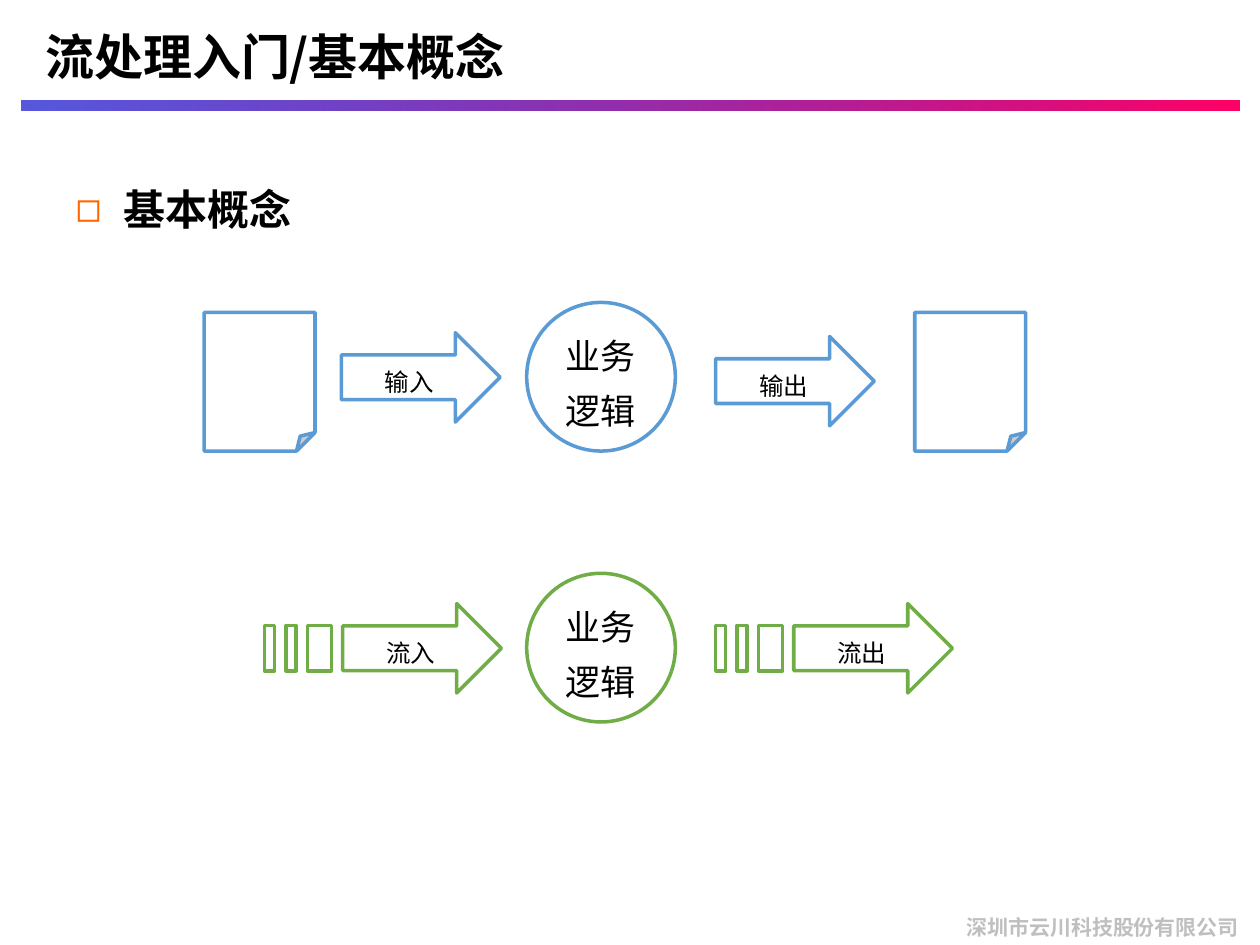
from pptx import Presentation
from pptx import util as u
from pptx.dml.color import RGBColor
from pptx.enum import shapes, text
from pptx.oxml.xmlchemy import OxmlElement

TITLE = "流处理入门/基本概念"
TOPIC = "基本概念"
FOOTER = "深圳市云川科技股份有限公司"
LOGIC = "业务逻辑"

COLORS = {
    "batch": "5B9BD5", "stream": "70AD47", "ink": "000000", "paper": "FFFFFF",
    "footer": "BFBFBF", "bullet": "FF6600", "bar_from": "0000CC", "bar_to": "FF0066",
}
FONT = "Noto Sans CJK SC"

LOGIC_LEFT, LOGIC_SIZE = 4.18, 1.18
ROW_TOPS = {"batch": 2.4, "stream": 4.55}
DOCUMENT_LEFTS = [1.62, 7.26]
DOCUMENT_TOP, DOCUMENT_SIZE = 2.48, (0.88, 1.1)
BATCH_ARROWS = [("输入", 2.71, 2.64), ("输出", 5.68, 2.67)]
STREAM_ARROWS = [("流入", 2.1), ("流出", 5.68)]
STREAM_ARROW_TOP, ARROW_SIZE = 4.79, (1.26, 0.71)
PULSE_WIDTHS, PULSE_HEIGHT, PULSE_GAP = [0.08, 0.08, 0.19], 0.36, 0.09

MSO = shapes.MSO_SHAPE
ALIGN = text.PP_ALIGN
ANCHOR = text.MSO_ANCHOR


def rgb(name):
    return RGBColor.from_string(COLORS[name])


def apply(target, values):
    for key, value in values.items():
        setattr(target, key, value)


def place(shape, left, top, width, height):
    box = dict(left=left, top=top, width=width, height=height)
    apply(shape, {side: u.Inches(length) for side, length in box.items()})


def write(shape, words, size, color="ink", bold=False, frame=None, paragraph=None):
    body = shape.text_frame
    apply(body, {"word_wrap": True, "auto_size": text.MSO_AUTO_SIZE.NONE, **(frame or {})})
    line = body.paragraphs[0]
    apply(line, {"alignment": ALIGN.LEFT, **(paragraph or {})})
    run = line.add_run()
    run.text = words
    apply(run.font, {"name": FONT, "size": u.Pt(size), "bold": bold})
    run.font.color.rgb = rgb(color)
    east_asian = OxmlElement("a:ea")
    east_asian.set("typeface", FONT)
    run.font._element.append(east_asian)
    return line


def outline(parent, kind, color, left, top, width, height, words=None, size=14):
    shape = parent.add_shape(kind, *map(u.Inches, (left, top, width, height)))
    shape.shadow.inherit = False
    shape.fill.solid()
    shape.fill.fore_color.rgb = rgb("paper")
    shape.line.color.rgb = rgb(color)
    shape.line.width = u.Pt(2)
    if words:
        write(shape, words, size, frame={"vertical_anchor": ANCHOR.MIDDLE},
              paragraph={"alignment": ALIGN.CENTER, "line_spacing": 1.3})


def add_bar(slide):
    bar = slide.shapes.add_shape(MSO.RECTANGLE, *map(u.Inches, (0.17, 0.8, 9.67, 0.08)))
    bar.shadow.inherit = False
    bar.line.fill.background()
    bar.fill.gradient()
    bar.fill.gradient_angle = 0
    for stop, name, position in zip(bar.fill.gradient_stops, ("bar_from", "bar_to"), (0, 1)):
        stop.color.rgb = rgb(name)
        stop.position = position
    alpha = OxmlElement("a:alpha")
    alpha.set("val", "66000")
    bar.fill._xPr.find(".//{*}srgbClr").append(alpha)


def add_bullet(line):
    properties = line._p.get_or_add_pPr()
    indent = u.Inches(0.38)
    properties.set("marL", str(indent))
    properties.set("indent", str(-indent))
    tint = OxmlElement("a:buClr")
    value = OxmlElement("a:srgbClr")
    value.set("val", COLORS["bullet"])
    tint.append(value)
    mark = OxmlElement("a:buChar")
    mark.set("char", "◻")
    properties.extend([tint, mark])


def add_texts(slide):
    title = slide.shapes.title
    place(title, 0.16, 0, 8.24, 0.88)
    write(title, TITLE, 28, bold=True,
          frame={"vertical_anchor": ANCHOR.MIDDLE, "margin_left": u.Inches(0.2)})
    topic = slide.placeholders[1]
    place(topic, 0.5, 1.31, 9, 5.69)
    add_bullet(write(topic, TOPIC, 24, bold=True,
                     paragraph={"line_spacing": 1.25, "space_before": u.Pt(2.4)}))
    footer = slide.shapes.add_textbox(*map(u.Inches, (7.57, 7.21, 2.47, 0.33)))
    write(footer, FOOTER, 12, "footer", bold=True)


def add_batch_row(slide):
    for left in DOCUMENT_LEFTS:
        outline(slide.shapes, MSO.FOLDED_CORNER, "batch", left, DOCUMENT_TOP, *DOCUMENT_SIZE)
    for words, left, top in BATCH_ARROWS:
        outline(slide.shapes, MSO.RIGHT_ARROW, "batch", left, top, *ARROW_SIZE, words)


def add_stream_row(slide):
    pulse_top = STREAM_ARROW_TOP + (ARROW_SIZE[1] - PULSE_HEIGHT) / 2
    for words, left in STREAM_ARROWS:
        striped = slide.shapes.add_group_shape().shapes
        for width in PULSE_WIDTHS:
            outline(striped, MSO.RECTANGLE, "stream", left, pulse_top, width, PULSE_HEIGHT)
            left += width + PULSE_GAP
        outline(striped, MSO.RIGHT_ARROW, "stream", left, STREAM_ARROW_TOP, *ARROW_SIZE, words)


def main():
    deck = Presentation()
    deck.slide_width, deck.slide_height = u.Inches(10), u.Inches(7.5)
    slide = deck.slides.add_slide(deck.slide_layouts[1])
    add_bar(slide)
    add_texts(slide)
    for color, top in ROW_TOPS.items():
        outline(slide.shapes, MSO.OVAL, color, LOGIC_LEFT, top, LOGIC_SIZE, LOGIC_SIZE, LOGIC, 20)
    add_batch_row(slide)
    add_stream_row(slide)
    deck.save("out.pptx")


if __name__ == "__main__":
    main()
